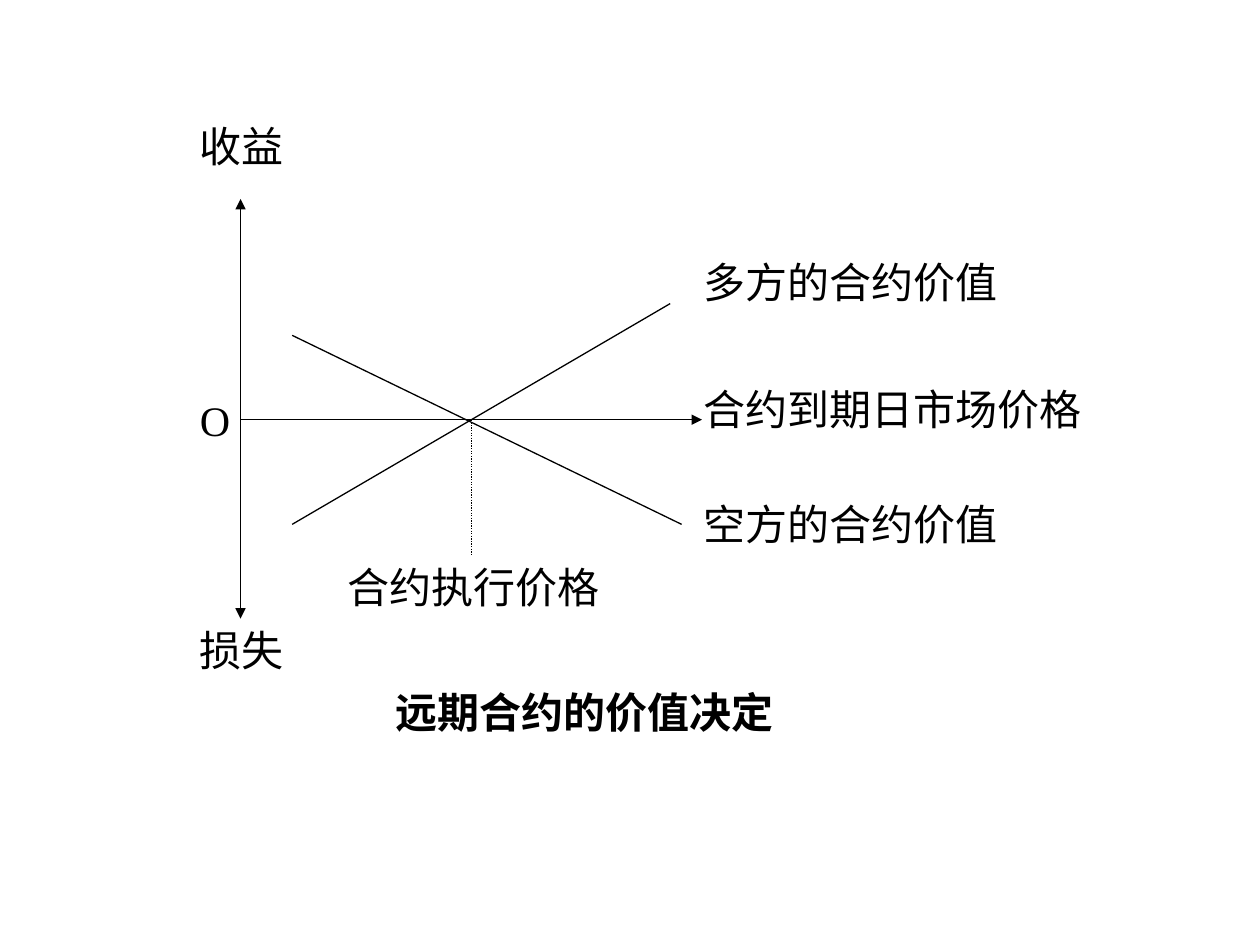
from lxml.etree import SubElement
from pptx import Presentation
from pptx.dml.color import RGBColor
from pptx.enum.dml import MSO_LINE_DASH_STYLE as DASH
from pptx.enum.shapes import MSO_CONNECTOR as CONN
from pptx.enum.text import MSO_AUTO_SIZE as AUTO
from pptx.oxml.ns import qn
from pptx.util import Cm, Pt


def rgb(value):
    return RGBColor.from_string(value)


class Diagram:
    font = "Times New Roman"
    size = Pt(24)
    ink = "000000"
    line_width = Pt(0.75)
    label_height = 1.27

    def __init__(self, slide):
        self.s = slide

    def line(self, start, end, arrow=False, dash=None):
        sp = self.s.shapes.add_connector(
            CONN.STRAIGHT, *(Cm(v) for v in (*start, *end)))
        sp.line.color.rgb = rgb(self.ink)
        sp.line.width = self.line_width
        if dash:
            sp.line.dash_style = dash
        if arrow:
            SubElement(sp.line._get_or_add_ln(), qn("a:tailEnd"), type="triangle")
        SubElement(sp._element.spPr, qn("a:effectLst"))

    def label(self, text, left, top, width, bold=False, wrap=True):
        sp = self.s.shapes.add_textbox(
            Cm(left), Cm(top), Cm(width), Cm(self.label_height))
        tf = sp.text_frame
        tf.word_wrap = wrap
        tf.auto_size = AUTO.SHAPE_TO_FIT_TEXT
        p = tf.paragraphs[0]
        r = p.add_run()
        r.text = text
        p.font.name = self.font
        p.font.size = self.size
        p.font.bold = bold
        p.font.color.rgb = rgb(self.ink)


def main():
    prs = Presentation()
    prs.slide_width, prs.slide_height = Cm(25.4), Cm(19.05)
    d = Diagram(prs.slides.add_slide(prs.slide_layouts[6]))

    axis_x, axis_y = 4.85, 8.46
    strike_x, strike_bottom = 9.5, 11.2
    payoff_left, payoff_bottom = 5.89, 10.57
    axis_label_left, curve_label_left = 3.78, 13.94

    for start_y, end_y in ((7.6, 12.47), (10.36, 4.01)):
        d.line((axis_x, start_y), (axis_x, end_y), arrow=True)
    d.line((axis_x, axis_y), (14.15, axis_y), arrow=True)
    d.line((payoff_left, payoff_bottom), (13.51, 6.12))
    d.line((payoff_left, 6.76), (13.74, payoff_bottom))
    d.line((strike_x, axis_y), (strike_x, strike_bottom), dash=DASH.ROUND_DOT)

    for text, top, width in (
        ("收益", 2.31, 2.54),
        ("损失", 12.47, 2.74),
        ("O", 7.82, 1.7),
    ):
        d.label(text, axis_label_left, top, width)
    for text, top, width in (
        ("多方的合约价值", 5.05, 7.19),
        ("合约到期日市场价格", 7.6, 9.73),
        ("空方的合约价值", 9.93, 8.46),
    ):
        d.label(text, curve_label_left, top, width)
    d.label("合约执行价格", 6.76, strike_bottom, 7.42)
    d.label("远期合约的价值决定", 7.72, 13.72, 8.13, bold=True, wrap=False)

    prs.save("out.pptx")


if __name__ == "__main__":
    main()
